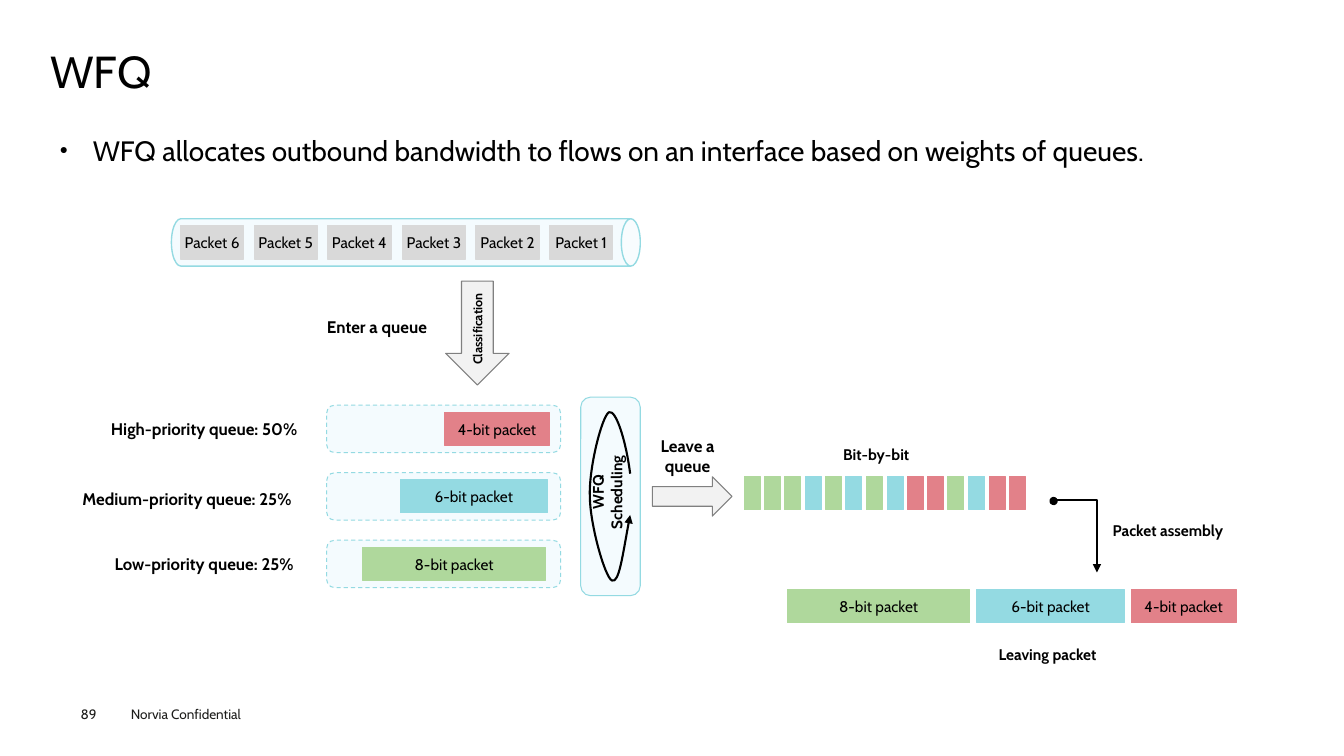
"""Build the WFQ slide: packets are classified, queued, scheduled and reassembled."""
from lxml.etree import SubElement
from pptx import Presentation
from pptx.dml.color import RGBColor
from pptx.enum.dml import MSO_LINE
from pptx.enum.shapes import MSO_CONNECTOR, MSO_SHAPE as SHAPE
from pptx.enum.text import MSO_ANCHOR as ANCHOR, MSO_AUTO_SIZE, PP_ALIGN as ALIGN
from pptx.oxml.ns import qn
from pptx.util import Pt

PX = 9144
FONT = "Cabin"
BLACK, FOOTER = "000000", "1D1D1B"
RED, BLUE, GREEN = "E28189", "94DAE2", "AFD89C"
PALE, PACKET_GREY, ARROW_GREY, ARROW_EDGE = "F4FBFE", "D9D9D9", "F2F2F2", "808080"
hex_color = RGBColor.from_string


def draw(kind, left, top, width, height, fill, edge, weight=0.75):
    """Add a preset shape with a flat fill and outline."""
    shape = slide.shapes.add_shape(kind, left * PX, top * PX, width * PX, height * PX)
    shape.shadow.inherit = False
    shape.fill.solid()
    shape.fill.fore_color.rgb = hex_color(fill)
    shape.line.color.rgb = hex_color(edge)
    shape.line.width = Pt(weight)
    return shape


def write(shape, text, size=11, bold=False, color=BLACK, align=ALIGN.CENTER,
          anchor=ANCHOR.MIDDLE, inset=(4, 5), wrap=True, spacing=None):
    """Fill a shape's text frame and format every paragraph."""
    frame = shape.text_frame
    frame.text = text
    frame.word_wrap = wrap
    frame.auto_size = MSO_AUTO_SIZE.NONE
    frame.vertical_anchor = anchor
    frame.margin_left = frame.margin_right = inset[0] * PX
    frame.margin_top = frame.margin_bottom = inset[1] * PX
    for paragraph in frame.paragraphs:
        paragraph.alignment = align
        paragraph.space_before = Pt(0)
        if spacing:
            paragraph.line_spacing = spacing
        font = paragraph.runs[0].font
        font.name, font.size, font.bold = FONT, Pt(size), bold
        font.color.rgb = hex_color(color)


deck = Presentation()
deck.slide_width, deck.slide_height = 1333 * PX, 750 * PX
slide = deck.slides.add_slide(deck.slide_layouts[1])

title, summary = slide.placeholders
for placeholder, top, height in ((title, 49, 54), (summary, 115, 533)):
    placeholder.left, placeholder.top = 50 * PX, top * PX
    placeholder.width, placeholder.height = 1235 * PX, height * PX
write(title, "WFQ", size=32, align=ALIGN.LEFT, anchor=ANCHOR.TOP, inset=(0, 0), spacing=0.9)
write(summary, "WFQ allocates outbound bandwidth to flows on an interface based on weights of queues.",
      size=20, align=ALIGN.LEFT, anchor=ANCHOR.TOP, inset=(9, 4), spacing=1.4)
summary_format = summary.text_frame.paragraphs[0]._p.get_or_add_pPr()
summary_format.set("marL", str(33 * PX))
summary_format.set("indent", str(-33 * PX))
SubElement(summary_format, qn("a:buSzPct"), val="50000")
SubElement(summary_format, qn("a:buChar"), char="●")

pipe = draw(SHAPE.CAN, 379, 8, 47, 465, PALE, BLUE, weight=1)
pipe.rotation = 90
pipe.adjustments[0] = 0.4
for i in range(6):
    packet = draw(SHAPE.RECTANGLE, 179 + round(i * 73.2), 224, 63, 33, PACKET_GREY, PACKET_GREY)
    write(packet, f"Packet {6 - i}", wrap=False)

draw(SHAPE.DOWN_ARROW, 442, 279, 63, 103, ARROW_GREY, ARROW_EDGE)
draw(SHAPE.RIGHT_ARROW, 647, 473, 79, 39, ARROW_GREY, ARROW_EDGE)

queued = (("4-bit packet", 441, 104, RED), ("6-bit packet", 397, 146, BLUE),
          ("8-bit packet", 360, 181, GREEN))
for i, (text, left, width, color) in enumerate(queued):
    top = 402 + 67 * i
    queue = draw(SHAPE.ROUNDED_RECTANGLE, 324, top, 232, 47, PALE, BLUE)
    queue.line.dash_style = MSO_LINE.DASH
    write(draw(SHAPE.RECTANGLE, left, top + 7, width, 33, color, color), text)

leaving_left = 781
for text, _, width, color in reversed(queued):
    write(draw(SHAPE.RECTANGLE, leaving_left, 585, width, 33, color, color), text)
    leaving_left += width + 7

bit_colors = {"G": GREEN, "B": BLUE, "R": RED}
for i, bit in enumerate("GGGBGBGBRRGBRR"):
    draw(SHAPE.RECTANGLE, 738 + round(i * 263 / 13), 473, 16, 33, bit_colors[bit], bit_colors[bit])

draw(SHAPE.ROUNDED_RECTANGLE, 576, 394, 59, 197, PALE, BLUE)
scheduling = slide.shapes.add_textbox(557 * PX, 465 * PX, 90 * PX, 47 * PX)
scheduling.rotation = 270
write(scheduling, "WFQ\nScheduling", bold=True, wrap=False)

cycle_builder = slide.shapes.build_freeform(625, 470, scale=PX)
cycle_builder.add_line_segments(
    ((621, 438), (611, 406), (604, 409), (597, 413), (584, 464), (585, 492),
     (585, 520), (600, 573), (607, 576), (614, 579), (618, 547), (625, 511)), close=False)
cycle = cycle_builder.convert_to_shape()
cycle.shadow.inherit = False
cycle.fill.background()
cycle_path = cycle._element.find(".//" + qn("a:path"))
segments = cycle_path.findall(qn("a:lnTo"))
for i in range(0, len(segments), 3):
    curve = SubElement(cycle_path, qn("a:cubicBezTo"))
    for segment in segments[i:i + 3]:
        curve.append(segment[0])
        cycle_path.remove(segment)

assembly = slide.shapes.add_connector(MSO_CONNECTOR.ELBOW, 1031 * PX, 511 * PX, 1102 * PX, 554 * PX)
assembly_properties = assembly._element.spPr
assembly_properties.xfrm.set("rot", str(270 * 60000))
assembly_properties.xfrm.set("flipH", "1")
SubElement(assembly_properties.find(".//" + qn("a:avLst")), qn("a:gd"), name="adj1", fmla="val -1000")

for arrow, start in ((cycle, None), (assembly, "oval")):
    arrow.line.color.rgb = hex_color(BLACK)
    arrow.line.width = Pt(1.5)
    outline = arrow.line._get_or_add_ln()
    if start:
        SubElement(outline, qn("a:headEnd"), type=start)
    SubElement(outline, qn("a:tailEnd"), type="triangle")
SubElement(assembly_properties, qn("a:effectLst"))

labels = (
    ("Enter a queue", 306, 308, 136, 32, 12),
    ("High-priority queue: 50%", 85, 410, 235, 31, 12),
    ("Medium-priority queue: 25%", 51, 479, 269, 31, 12),
    ("Low-priority queue: 25%", 85, 544, 235, 31, 12),
    ("Leave a queue", 635, 436, 94, 32, 12),
    ("Bit-by-bit", 808, 436, 122, 29, 11),
    ("Packet assembly", 1080, 512, 157, 29, 11),
    ("Leaving packet", 978, 635, 122, 29, 11),
)
for text, left, top, width, height, size in labels:
    label = slide.shapes.add_textbox(left * PX, top * PX, width * PX, height * PX)
    write(label, text, size=size, bold=True)

classification = slide.shapes.add_textbox(452 * PX, 279 * PX, 43 * PX, 95 * PX)
write(classification, "Classification", size=9, bold=True)
classification.text_frame._txBody.bodyPr.set("vert", "vert270")

page_number = slide.shapes.add_textbox(80 * PX, 700 * PX, 55 * PX, 16 * PX)
write(page_number, "89", size=9.7, color=FOOTER, align=ALIGN.LEFT, anchor=ANCHOR.TOP, inset=(0, 0))
confidentiality = slide.shapes.add_textbox(120 * PX, 695 * PX, 160 * PX, 27 * PX)
write(confidentiality, "Norvia Confidential", size=9.7, color=FOOTER, align=ALIGN.LEFT,
      anchor=ANCHOR.TOP, inset=(10, 5))

deck.save("out.pptx")
